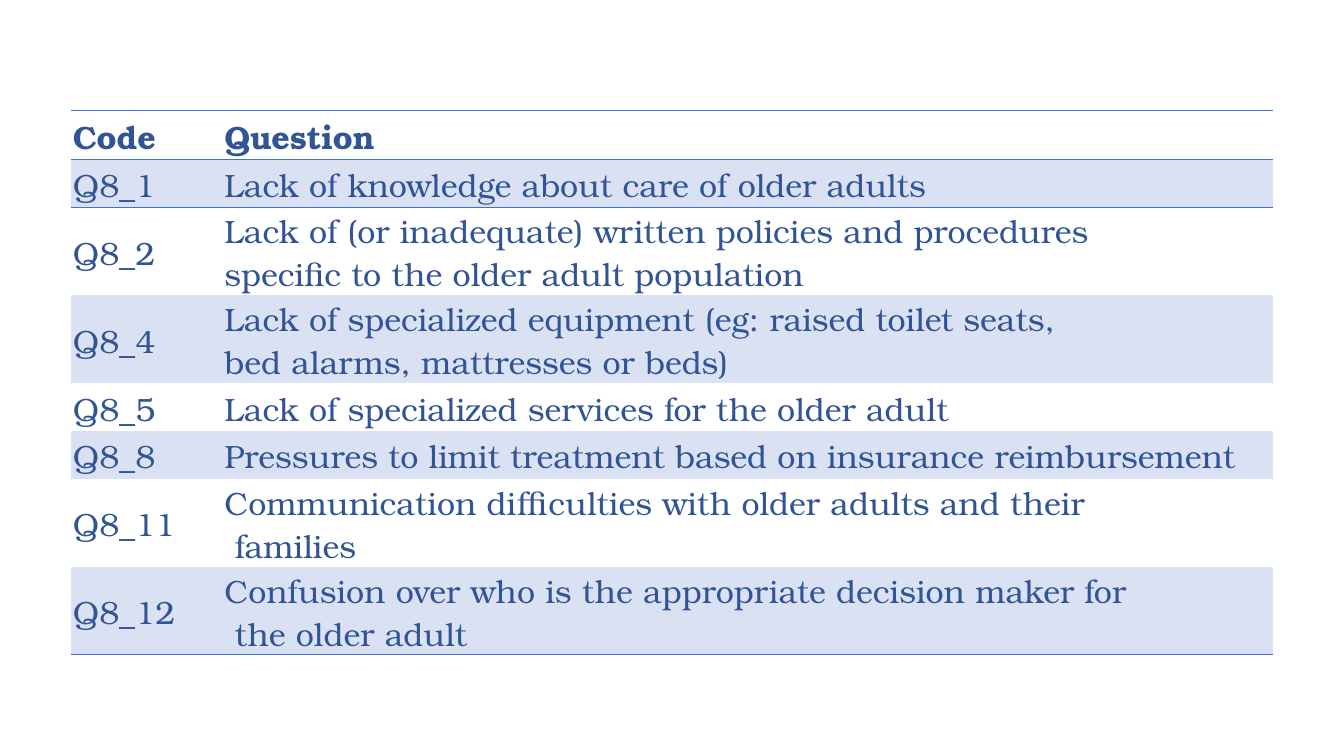
from lxml import etree
from pptx import Presentation
from pptx.dml.color import RGBColor
from pptx.enum import text
from pptx.oxml import ns
from pptx.util import Pt

FONT = "TeX Gyre Bonum"
INK = RGBColor(0x30, 0x54, 0x96)
RULE = RGBColor(0x44, 0x72, 0xC4)
BAND = RGBColor(0xD9, 0xE1, 0xF2)
NO_GRID_STYLE = "{2D5ABB26-0587-4C30-8999-92F81FD0307C}"

LEFT, TOP = Pt(50.6), Pt(78.8)
COLUMN_WIDTHS = [Pt(108.3), Pt(750.4)]
ONE_LINE, TWO_LINES = Pt(34), Pt(62)

BARRIERS = [
    ("Code", "Question"),
    ("Q8_1", "Lack of knowledge about care of older adults"),
    ("Q8_2", "Lack of (or inadequate) written policies and procedures\v"
             "specific to the older adult population"),
    ("Q8_4", "Lack of specialized equipment (eg: raised toilet seats, \v"
             "bed alarms, mattresses or beds)"),
    ("Q8_5", "Lack of specialized services for the older adult"),
    ("Q8_8", "Pressures to limit treatment based on insurance reimbursement"),
    ("Q8_11", "Communication difficulties with older adults and their\v families"),
    ("Q8_12", "Confusion over who is the appropriate decision maker for\v"
              " the older adult"),
]


def add_rules(cell, sides):
    properties = cell._tc.get_or_add_tcPr()
    for position, side in enumerate(sides):
        rule = etree.Element(ns.qn(f"a:ln{side}"), w=str(Pt(0.5)))
        fill = etree.SubElement(rule, ns.qn("a:solidFill"))
        etree.SubElement(fill, ns.qn("a:srgbClr"), val=str(RULE))
        properties.insert(position, rule)


def fill_cell(cell, wording, bold, banded):
    cell.text = wording
    cell.vertical_anchor = text.MSO_ANCHOR.MIDDLE
    cell.margin_left = cell.margin_right = cell.margin_top = Pt(1.5)
    cell.margin_bottom = 0
    font = cell.text_frame.paragraphs[0].font
    font.name, font.size, font.bold = FONT, Pt(23), bold
    font.color.rgb = INK
    if banded:
        cell.fill.solid()
        cell.fill.fore_color.rgb = BAND
    else:
        cell.fill.background()


def add_barrier_table(slide):
    heights = [TWO_LINES if "\v" in question else ONE_LINE
               for _, question in BARRIERS]
    table = slide.shapes.add_table(
        len(BARRIERS), len(COLUMN_WIDTHS), LEFT, TOP,
        sum(COLUMN_WIDTHS), sum(heights)).table
    table.horz_banding = False
    table._tbl.tblPr.find(ns.qn("a:tableStyleId")).text = NO_GRID_STYLE
    for column, width in zip(table.columns, COLUMN_WIDTHS):
        column.width = width
    ruled_sides = {0: "TB", 1: "T", len(BARRIERS) - 1: "B"}
    for index, (barrier, height) in enumerate(zip(BARRIERS, heights)):
        table.rows[index].height = height
        for cell, wording in zip(table.rows[index].cells, barrier):
            fill_cell(cell, wording, bold=index == 0, banded=index % 2 == 1)
            add_rules(cell, ruled_sides.get(index, ""))


def main():
    deck = Presentation()
    deck.slide_width, deck.slide_height = Pt(960), Pt(540)
    slide = deck.slides.add_slide(deck.slide_layouts[6])
    add_barrier_table(slide)
    deck.save("out.pptx")


if __name__ == "__main__":
    main()
